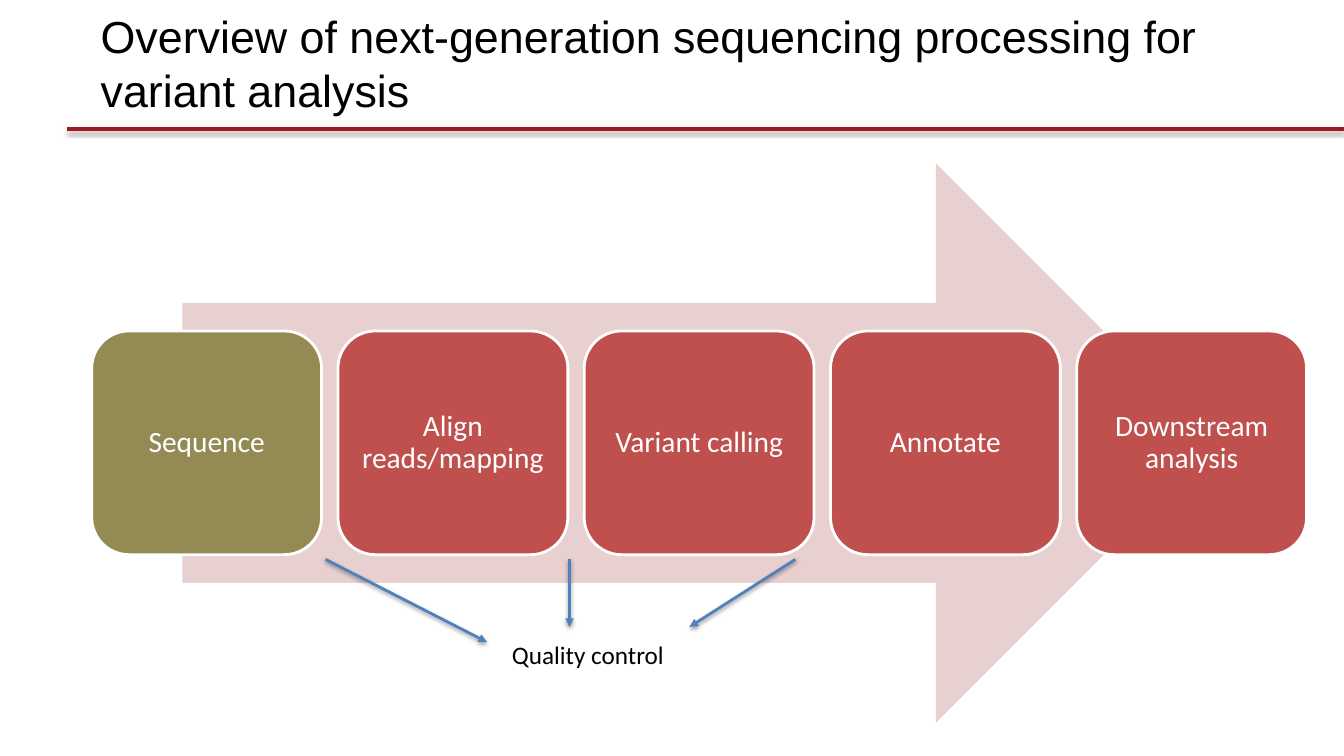
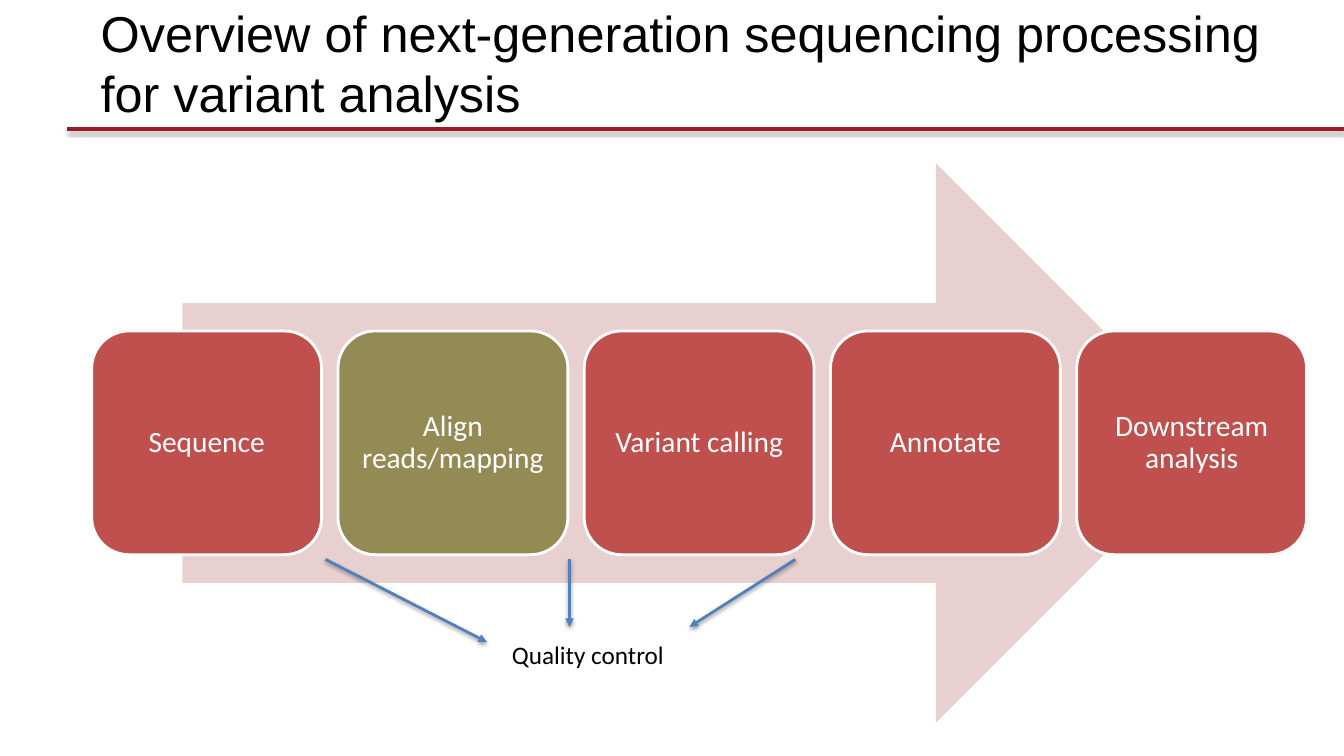
from dataclasses import dataclass

import lxml.etree
import pptx
import pptx.dml.color
import pptx.enum.shapes
import pptx.enum.text
import pptx.oxml.ns
import pptx.slide
import pptx.util

Pt = pptx.util.Pt
RGB = pptx.dml.color.RGBColor
Shape = pptx.enum.shapes.MSO_SHAPE
Anchor = pptx.enum.text.MSO_ANCHOR
Align = pptx.enum.text.PP_ALIGN
qn = pptx.oxml.ns.qn


# Colours, fonts and type sizes
@dataclass(frozen=True)
class Theme:
    black: RGB = RGB(0x00, 0x00, 0x00)
    white: RGB = RGB(0xFF, 0xFF, 0xFF)
    rule: RGB = RGB(0x9D, 0x19, 0x24)
    pale: RGB = RGB(0xE8, 0xD0, 0xD0)
    red: RGB = RGB(0xC0, 0x50, 0x4D)
    olive: RGB = RGB(0x94, 0x8A, 0x54)
    blue: RGB = RGB(0x4F, 0x81, 0xBD)
    head: str = "Arial"
    body: str = "Calibri"
    step: float = 21
    note: float = 18


@dataclass(frozen=True)
class Box:
    left: float
    top: float
    width: float
    height: float


@dataclass(frozen=True)
class Line:
    x1: float
    y1: float
    x2: float
    y2: float


@dataclass(frozen=True)
class Page:
    size: float  # title type size
    active: int  # index of the highlighted step


THEME = Theme()
WIDTH, HEIGHT = 960, 540
TITLE = "Overview of next-generation sequencing processing for variant analysis"
STEPS = ("Sequence", "Align reads/mapping", "Variant calling",
         "Annotate", "Downstream analysis")
PAGES = (Page(32, 0), Page(36, 1))

HEAD = Box(64.8, 0, 855.4, 89.3)
RULE = Line(48, 92.4, WIDTH, 92.4)
ARROW = Box(130.3, 116.6, 738, 399.6)
FIRST = Box(65.5, 236.4, 164.2, 159.8)
PITCH = 175.9
INSET = 6.5
NOTE = Box(358.6, 452.9, 124.6, 29)
CHECKS = (Line(232.6, 399.6, 347.8, 458.6),
          Line(406.8, 399.6, 406.8, 447.8),
          Line(568.1, 399.6, 492.5, 447.8))


def place(box: Box) -> tuple:
    return Pt(box.left), Pt(box.top), Pt(box.width), Pt(box.height)


def write(frame, text: str, font: str, size: float, color: RGB):
    """Fill a text frame with one paragraph and return it."""
    frame.vertical_anchor = Anchor.MIDDLE
    para = frame.paragraphs[0]
    para.text = text
    para.font.name = font
    para.font.size = Pt(size)
    para.font.color.rgb = color
    return para


def label(slide: pptx.slide.Slide, box: Box, text: str, font: str,
          size: float, wrap: bool) -> None:
    frame = slide.shapes.add_textbox(*place(box)).text_frame
    frame.word_wrap = wrap
    write(frame, text, font, size, THEME.black)


def block(slide: pptx.slide.Slide, kind: Shape, box: Box, fill: RGB):
    shape = slide.shapes.add_shape(kind, *place(box))
    shape.shadow.inherit = False
    shape.fill.solid()
    shape.fill.fore_color.rgb = fill
    shape.line.fill.background()
    return shape


def stroke(slide: pptx.slide.Slide, line: Line, color: RGB, width: float,
           tip: bool = False) -> None:
    """Draw a line with a soft shadow below and, if asked, an arrowhead."""
    link = slide.shapes.add_connector(
        pptx.enum.shapes.MSO_CONNECTOR.STRAIGHT,
        Pt(line.x1), Pt(line.y1), Pt(line.x2), Pt(line.y2))
    link.line.color.rgb = color
    link.line.width = Pt(width)
    props = link.element.spPr
    add = lxml.etree.SubElement
    if tip:
        add(props.find(qn("a:ln")), qn("a:tailEnd"), type="triangle")
    shade = add(add(props, qn("a:effectLst")), qn("a:outerShdw"),
                blurRad=str(Pt(3.1)), dist=str(Pt(1.6)), dir="5400000",
                rotWithShape="0")
    tint = add(shade, qn("a:srgbClr"), val="000000")
    add(tint, qn("a:alpha"), val="38000")


def step(slide: pptx.slide.Slide, index: int, text: str, fill: RGB) -> None:
    box = Box(FIRST.left + index * PITCH, FIRST.top, FIRST.width, FIRST.height)
    shape = block(slide, Shape.ROUNDED_RECTANGLE, box, fill)
    shape.line.color.rgb = THEME.white
    shape.line.width = Pt(2)
    frame = shape.text_frame
    frame.word_wrap = True
    frame.margin_left = frame.margin_right = Pt(INSET)
    frame.margin_top = frame.margin_bottom = Pt(INSET)
    para = write(frame, text, THEME.body, THEME.step, THEME.white)
    para.alignment = Align.CENTER
    para.line_spacing = 0.9


def draw(slide: pptx.slide.Slide, page: Page) -> None:
    # Title band
    stroke(slide, RULE, THEME.rule, 3)
    label(slide, HEAD, TITLE, THEME.head, page.size, True)
    # Process steps on the big arrow
    block(slide, Shape.RIGHT_ARROW, ARROW, THEME.pale)
    for index, text in enumerate(STEPS):
        fill = THEME.olive if index == page.active else THEME.red
        step(slide, index, text, fill)
    # Quality control
    label(slide, NOTE, "Quality control", THEME.body, THEME.note, False)
    for check in CHECKS:
        stroke(slide, check, THEME.blue, 2, True)


def main() -> None:
    deck = pptx.Presentation()
    deck.slide_width, deck.slide_height = Pt(WIDTH), Pt(HEIGHT)
    blank = deck.slide_layouts[6]
    for page in PAGES:
        draw(deck.slides.add_slide(blank), page)
    deck.save("out.pptx")


if __name__ == "__main__":
    main()
